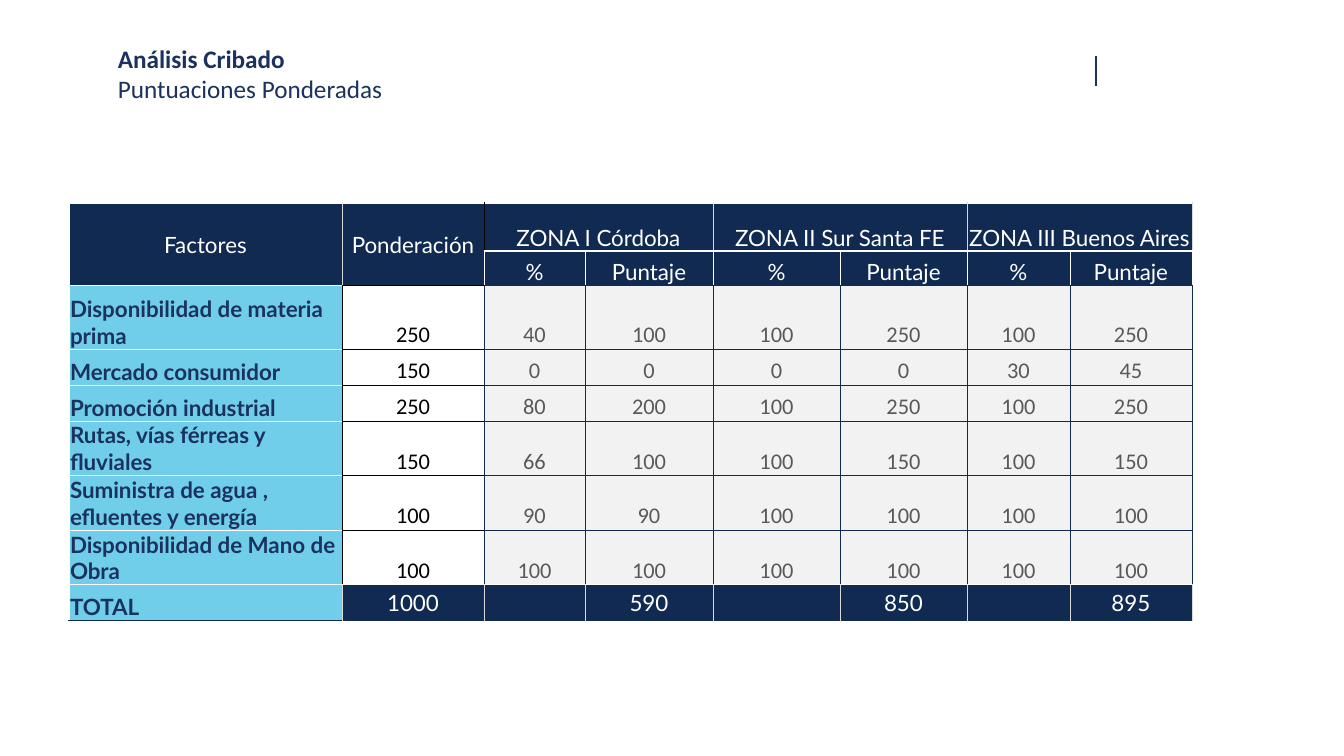
from dataclasses import dataclass, replace

from pptx import Presentation
from pptx.dml.color import RGBColor
from pptx.enum.shapes import MSO_CONNECTOR
from pptx.enum.text import MSO_ANCHOR, MSO_AUTO_SIZE, PP_ALIGN
from pptx.oxml.ns import qn
from pptx.table import Table, _Cell
from pptx.text.text import TextFrame, _Paragraph
from pptx.util import Emu, Pt
from lxml import etree

LEFT, CENTER = PP_ALIGN.LEFT, PP_ALIGN.CENTER
MIDDLE, BOTTOM = MSO_ANCHOR.MIDDLE, MSO_ANCHOR.BOTTOM
STRAIGHT = MSO_CONNECTOR.STRAIGHT
GROW = MSO_AUTO_SIZE.SHAPE_TO_FIT_TEXT
SCALE = 914400 / 100.8


@dataclass(frozen=True)
class Theme:
    navy: str = "102A52"
    ink: str = "1A325D"
    sky: str = "70CEEA"
    pale: str = "F2F2F2"
    rule: str = "D9D9D9"
    gray: str = "595959"
    white: str = "FFFFFF"
    black: str = "000000"
    sans: str = "Calibri"
    lato: str = "Lato"
    title: int = 18
    body: int = 16


T = Theme()


@dataclass(frozen=True)
class Edge:
    color: str
    width: float = 0.5


THIN, THICK = Edge(T.white), Edge(T.white, 1)
NAVY, RULE, BLACK = Edge(T.navy), Edge(T.rule), Edge(T.black)


@dataclass(frozen=True)
class Look:
    """Format of one kind of cell."""
    fill: str
    ink: str
    font: str = T.lato
    bold: bool = False
    align: PP_ALIGN = CENTER
    anchor: MSO_ANCHOR = BOTTOM
    left: Edge = NAVY
    right: Edge = NAVY
    top: Edge = NAVY
    base: Edge = NAVY


ZONE = Look(T.navy, T.white, left=RULE, right=RULE, top=THICK, base=THICK)
FIRST = replace(ZONE, left=BLACK)
FACTOR = replace(ZONE, anchor=MIDDLE, left=THIN, base=THIN)
WEIGHT = replace(ZONE, anchor=MIDDLE, right=BLACK, base=BLACK)
SUB = replace(ZONE, left=THIN, right=THIN, base=NAVY)
LABEL = Look(T.sky, T.ink, bold=True, align=LEFT,
             left=THICK, right=BLACK, top=THIN, base=THIN)
POINTS = Look(T.white, T.black, T.sans, left=BLACK, top=BLACK, base=BLACK)
SCORE = Look(T.pale, T.gray, T.sans)
SUM = replace(ZONE, anchor=MIDDLE, base=NAVY)
SUM_LABEL = replace(LABEL, right=RULE, base=NAVY)


@dataclass(frozen=True)
class Head:
    text: str
    row: int
    col: int
    look: Look
    rows: int = 1
    cols: int = 1


HEADS = [
    Head("Factores", 0, 0, FACTOR, rows=2),
    Head("Ponderación", 0, 1, WEIGHT, rows=2),
    Head("ZONA I Córdoba", 0, 2, FIRST, cols=2),
    Head("ZONA II Sur Santa FE", 0, 4, ZONE, cols=2),
    Head("ZONA III Buenos Aires", 0, 6, ZONE, cols=2),
    *(Head(("%", "Puntaje")[col % 2], 1, col, SUB) for col in range(2, 8)),
]
DATA = [
    ("Disponibilidad de materia prima", 250, 40, 100, 100, 250, 100, 250),
    ("Mercado consumidor", 150, 0, 0, 0, 0, 30, 45),
    ("Promoción industrial", 250, 80, 200, 100, 250, 100, 250),
    ("Rutas, vías férreas y fluviales", 150, 66, 100, 100, 150, 100, 150),
    ("Suministra de agua , efluentes y energía",
     100, 90, 90, 100, 100, 100, 100),
    ("Disponibilidad de Mano de Obra", 100, 100, 100, 100, 100, 100, 100),
    ("TOTAL", 1000, "", 590, "", 850, "", 895),
]
COLS = (273, 142, 101, 128, 127, 127, 103, 122)
ROWS = (48, 34, 64, 36, 36, 54, 54, 54, 36)


def px(count: int) -> Emu:
    return Emu(round(count * SCALE))


def rgb(color: str) -> RGBColor:
    return RGBColor.from_string(color)


def write(para: _Paragraph, text: str, *, size: int, font: str, color: str,
          bold: bool = False, align: PP_ALIGN = LEFT) -> None:
    para.alignment = align
    run = para.add_run()
    run.text = text
    run.font.size, run.font.name, run.font.bold = Pt(size), font, bold
    run.font.color.rgb = rgb(color)


def style(cell: _Cell, look: Look) -> None:
    """Set the borders, fill, margins and anchor of a cell."""
    props = cell._tc.get_or_add_tcPr()
    edges = {"lnL": look.left, "lnR": look.right,
             "lnT": look.top, "lnB": look.base}
    for tag, edge in edges.items():
        line = etree.SubElement(props, qn(f"a:{tag}"), w=str(Pt(edge.width)))
        fill = etree.SubElement(line, qn("a:solidFill"))
        etree.SubElement(fill, qn("a:srgbClr"), val=edge.color)
    cell.fill.solid()
    cell.fill.fore_color.rgb = rgb(look.fill)
    cell.margin_left = cell.margin_right = cell.margin_top = px(1)
    cell.margin_bottom = 0
    cell.vertical_anchor = look.anchor


def put(cell: _Cell, text: str, look: Look) -> None:
    style(cell, look)
    if text:
        write(cell.text_frame.paragraphs[0], text, size=T.body,
              font=look.font, color=look.ink, bold=look.bold,
              align=look.align)


def put_head(table: Table, head: Head) -> None:
    cell = table.cell(head.row, head.col)
    end = table.cell(head.row + head.rows - 1, head.col + head.cols - 1)
    if end != cell and head.rows * head.cols > 1:
        cell.merge(end)
        style(end, head.look)
    put(cell, head.text, head.look)


def put_data(table: Table) -> None:
    final = len(DATA) - 1
    for row, items in enumerate(DATA):
        for col, item in enumerate(items):
            if row == final:
                look = SUM if col else SUM_LABEL
            else:
                look = (LABEL, POINTS, SCORE)[min(col, 2)]
                if row == final - 1 and col:
                    look = replace(look, base=THICK)
            put(table.cell(row + 2, col), str(item), look)


def put_title(frame: TextFrame) -> None:
    frame.word_wrap = True
    frame.auto_size = GROW
    form = {"size": T.title, "font": T.sans, "color": T.ink}
    write(frame.paragraphs[0], "Análisis Cribado", bold=True, **form)
    write(frame.add_paragraph(), "Puntuaciones Ponderadas", **form)


def main() -> None:
    deck = Presentation()
    deck.slide_width, deck.slide_height = px(1344), px(756)
    shapes = deck.slides.add_slide(deck.slide_layouts[6]).shapes

    mark = shapes.add_connector(STRAIGHT, px(1096), px(56), px(1096), px(86))
    mark.line.color.rgb = rgb(T.ink)
    mark.line.width = Pt(1)
    etree.SubElement(mark._element.spPr, qn("a:effectLst"))

    table = shapes.add_table(len(ROWS), len(COLS), px(69), px(203),
                             px(sum(COLS)), px(sum(ROWS))).table
    table.first_row = table.horz_banding = False
    for col, width in zip(table.columns, COLS):
        col.width = px(width)
    for row, height in zip(table.rows, ROWS):
        row.height = px(height)
    for head in HEADS:
        put_head(table, head)
    put_data(table)

    put_title(shapes.add_textbox(px(108), px(38), px(332), px(72)).text_frame)
    deck.save("out.pptx")


if __name__ == "__main__":
    main()
